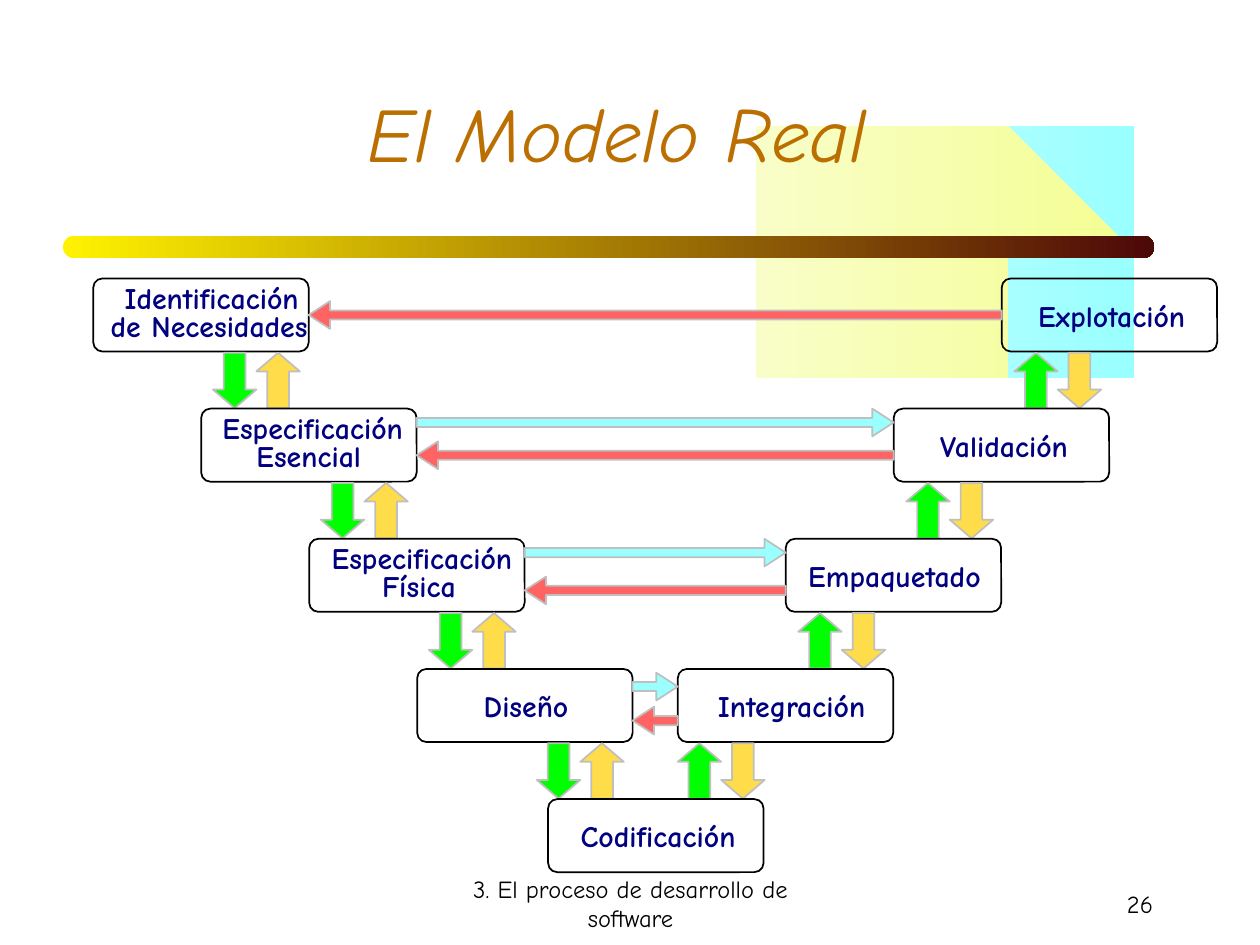
from math import cos, pi, sin

from pptx import Presentation
from pptx.dml.color import RGBColor
from pptx.enum.shapes import MSO_SHAPE
from pptx.enum.text import MSO_ANCHOR, MSO_AUTO_SIZE, PP_ALIGN
from pptx.util import Inches, Pt

ROUNDED = MSO_SHAPE.ROUNDED_RECTANGLE
UP, DOWN = MSO_SHAPE.UP_ARROW, MSO_SHAPE.DOWN_ARROW
RIGHT, LEFT = MSO_SHAPE.RIGHT_ARROW, MSO_SHAPE.LEFT_ARROW
MIDDLE = MSO_ANCHOR.MIDDLE

FONT = "Comic Neue"
TITLE_FORMAT = {"name": FONT, "size": Pt(44), "italic": True, "bold": False}
LABEL_FORMAT = {"name": FONT, "size": Pt(17), "bold": True}
FOOTER_FORMAT = {"name": FONT, "size": Pt(14)}

# Grid of the V: both arms move inwards one column for each row down
TOP, ROW = 2.21, 1.033
LEFT_ARM, RIGHT_ARM, COLUMN = 0.74, 7.95, 0.857
BOX_W, BOX_H = 1.71, 0.58
ARROW_W, ARROW_H, BAR_H = 0.345, 0.44, 0.22

# Lines of each label: text, shift from the box's left and top, width
LEFT_STAGES = [
    [("Identificación", 0.15, -0.04, 1.67), ("de Necesidades", 0.04, 0.18, 1.77)],
    [("Especificación", 0.07, -0.04, 1.72), ("Esencial", 0.34, 0.18, 1.03)],
    [("Especificación", 0.08, -0.04, 1.72), ("Física", 0.48, 0.18, 0.79)],
    [("Diseño", 0.43, 0.1, 0.87)],
]
RIGHT_STAGES = [
    [("Explotación", 0.19, 0.1, 1.38)],
    [("Validación", 0.27, 0.1, 1.23)],
    [("Empaquetado", 0.08, 0.1, 1.58)],
    [("Integración", 0.22, 0.1, 1.39)],
]
LAST_STAGE = [("Codificación", 0.16, 0.1, 1.43)]

# Comets: right tip, half height, left colour, right colour
COMETS = [
    (9.42, 0.87, "CCFFFF", "99FFFF"),
    (9.34, 0.69, "F9FEC8", "F4FE92"),
    (9.29, 0.45, "FFE6E6", "FFCCCC"),
]
COMET_W, COMET_Y = 3.13, 1.96

# Shift of the horizontal arrows below the top of each row
FORWARD_SHIFTS = {1: 0, 2: 0, 3: 0.03}
BACK_SHIFTS = {0: 0.18, 1: 0.26, 2: 0.3, 3: 0.3}


def color(value):
    return RGBColor.from_string(value)


def format_font(font, values, value_color):
    for name, value in values.items():
        setattr(font, name, value)
    font.color.rgb = color(value_color)


def fill_gradient(shape, left_color, right_color):
    shape.shadow.inherit = False
    shape.line.fill.background()
    shape.fill.gradient()
    shape.fill.gradient_angle = 0
    for stop, value in zip(shape.fill.gradient_stops, (left_color, right_color)):
        stop.color.rgb = color(value)


def add_comet(slide, tip, half_height, left_color, right_color, steps=48):
    angles = [pi * (step / steps - 0.5) for step in range(steps + 1)]
    points = [(tip - COMET_W * (1 - cos(angle)), COMET_Y + half_height * sin(angle))
              for angle in angles]
    builder = slide.shapes.build_freeform(*points[0], scale=Inches(1))
    builder.add_line_segments(points[1:] + [(tip - COMET_W - 0.01, COMET_Y)], close=True)
    fill_gradient(builder.convert_to_shape(), left_color, right_color)


def add_preset(slide, kind, place, adjustments):
    shape = slide.shapes.add_shape(kind, *map(Inches, place))
    shape.shadow.inherit = False
    for index, value in enumerate(adjustments):
        shape.adjustments[index] = value
    return shape


def add_text(slide, words, place, values, text_color="000000",
             align=PP_ALIGN.LEFT, anchor=MSO_ANCHOR.TOP, wrap=True):
    box = slide.shapes.add_textbox(*map(Inches, place))
    frame = box.text_frame
    frame.word_wrap = wrap
    frame.auto_size = MSO_AUTO_SIZE.NONE if wrap else MSO_AUTO_SIZE.SHAPE_TO_FIT_TEXT
    frame.vertical_anchor = anchor
    para = frame.paragraphs[0]
    para.alignment = align
    span = para.add_run()
    span.text = words
    format_font(span.font, values, text_color)


def add_stage(slide, left, top, lines):
    box = add_preset(slide, ROUNDED, (left, top, BOX_W, BOX_H), [0.125])
    box.fill.background()
    box.line.color.rgb = color("000000")
    box.line.width = Pt(1)
    for words, shift_x, shift_y, width in lines:
        add_text(slide, words, (left + shift_x, top + shift_y, width, 0.38),
                 LABEL_FORMAT, "000080", wrap=False)


def add_arrow(slide, kind, place, fill_color):
    adjustments = (0.5, 0.43) if kind in (UP, DOWN) else (0.33, 0.77)
    arrow = add_preset(slide, kind, place, adjustments)
    arrow.fill.solid()
    arrow.fill.fore_color.rgb = color(fill_color)
    arrow.line.color.rgb = color("BFBFBF")
    arrow.line.width = Pt(1)


def add_arrow_pair(slide, left, top, green_kind, yellow_kind):
    for index, (kind, fill) in enumerate([(green_kind, "00FF00"), (yellow_kind, "FFDC49")]):
        add_arrow(slide, kind, (left + index * ARROW_W, top, ARROW_W, ARROW_H), fill)


def add_title(slide, words):
    title = slide.shapes.title
    title.left, title.top, title.width, title.height = map(Inches, (0.75, 0.42, 8.5, 1.25))
    title.text_frame.text = words
    title.text_frame.vertical_anchor = MIDDLE
    para = title.text_frame.paragraphs[0]
    para.alignment = PP_ALIGN.CENTER
    format_font(para.runs[0].font, TITLE_FORMAT, "BA6F00")


def add_background(slide):
    for comet in COMETS:
        add_comet(slide, *comet)
    bar = add_preset(slide, ROUNDED, (0.5, 1.87, 8.66, 0.18), [0.5])
    fill_gradient(bar, "FFF200", "4D0808")
    # The title stands in front of the decoration
    tree = slide.shapes.title.element.getparent()
    tree.append(slide.shapes.title.element)


def add_row(slide, row):
    top = TOP + row * ROW
    left_x = LEFT_ARM + row * COLUMN
    right_x = RIGHT_ARM - row * COLUMN
    add_stage(slide, left_x, top, LEFT_STAGES[row])
    add_stage(slide, right_x, top, RIGHT_STAGES[row])

    # Vertical arrows to the next row
    last = row == len(LEFT_STAGES) - 1
    add_arrow_pair(slide, left_x + 0.95, top + 0.59, DOWN, UP)
    add_arrow_pair(slide, right_x + (0 if last else 0.1), top + 0.59, UP, DOWN)

    # Horizontal arrows between the arms
    start = left_x + BOX_W
    for kind, fill, shifts in ((RIGHT, "99FFFF", FORWARD_SHIFTS), (LEFT, "FF6363", BACK_SHIFTS)):
        if row in shifts:
            add_arrow(slide, kind, (start, top + shifts[row], right_x - start, BAR_H), fill)


def main():
    deck = Presentation()
    deck.slide_width, deck.slide_height = Inches(10), Inches(7.5)
    slide = deck.slides.add_slide(deck.slide_layouts[5])
    add_title(slide, "El Modelo Real ")
    add_background(slide)

    for row in range(len(LEFT_STAGES)):
        add_row(slide, row)
    add_stage(slide, 4.35, TOP + len(LEFT_STAGES) * ROW, LAST_STAGE)

    # Footer and slide number
    add_text(slide, "3. El proceso de desarrollo de software", (3.42, 6.92, 3.17, 0.5),
             FOOTER_FORMAT, align=PP_ALIGN.CENTER, anchor=MIDDLE)
    add_text(slide, "26", (7.17, 6.92, 2.08, 0.5),
             FOOTER_FORMAT, align=PP_ALIGN.RIGHT, anchor=MIDDLE)
    deck.save("out.pptx")


if __name__ == "__main__":
    main()
